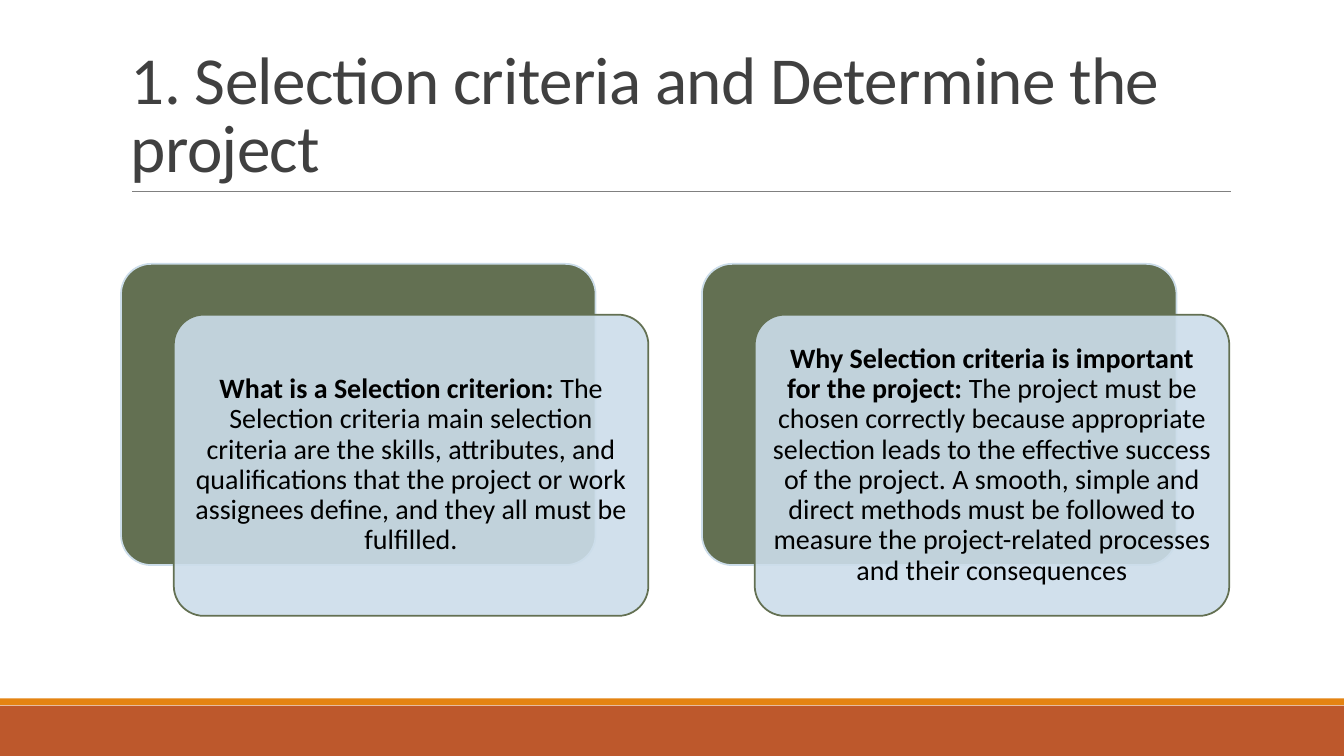
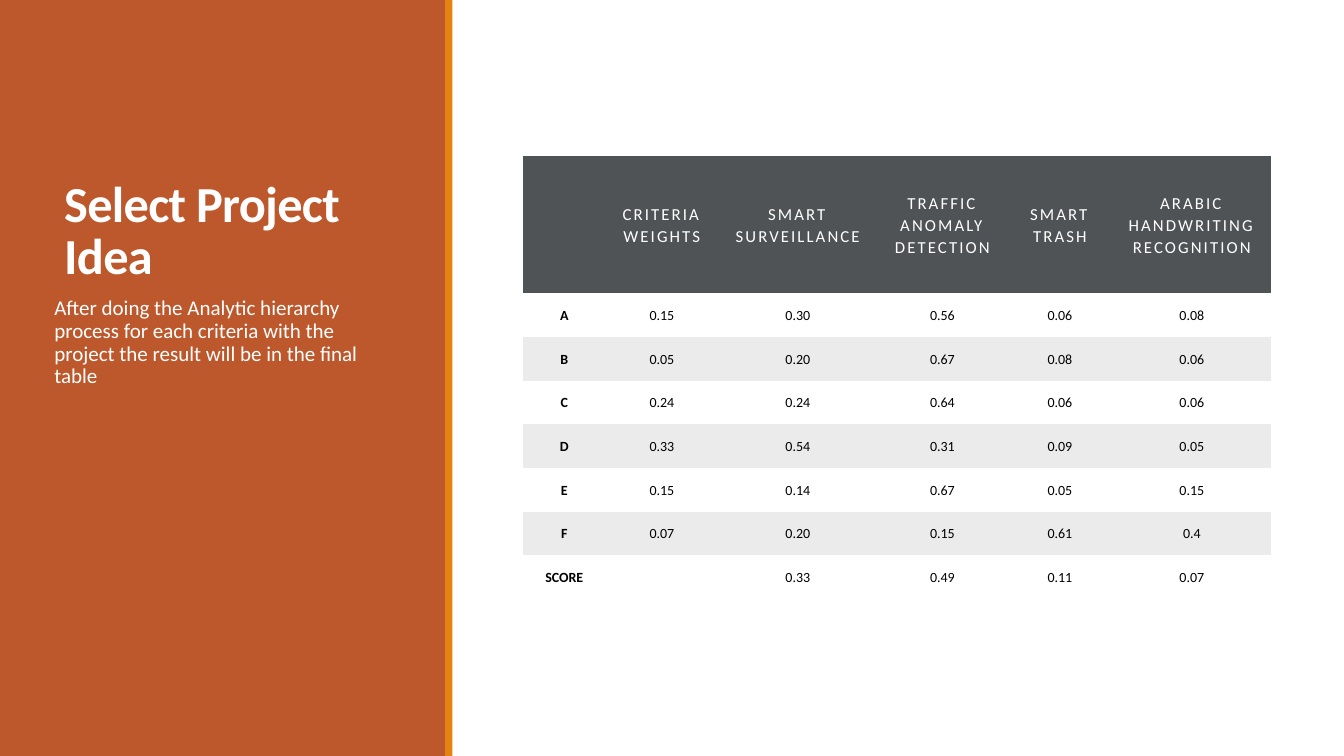
from pptx import Presentation
from pptx.dml.color import RGBColor
from pptx.enum.shapes import MSO_CONNECTOR, MSO_SHAPE
from pptx.enum.text import MSO_ANCHOR, PP_ALIGN
from pptx.oxml.ns import qn
from pptx.util import Cm, Pt
from lxml import etree

RECT, ROUND = MSO_SHAPE.RECTANGLE, MSO_SHAPE.ROUNDED_RECTANGLE
STRAIGHT = MSO_CONNECTOR.STRAIGHT
TOP, MIDDLE, BOTTOM = MSO_ANCHOR.TOP, MSO_ANCHOR.MIDDLE, MSO_ANCHOR.BOTTOM
LEFT, CENTER = PP_ALIGN.LEFT, PP_ALIGN.CENTER

FONT = "Calibri"
RUST, AMBER, OLIVE, SKY = "BD582C", "E48312", "637052", "CCDDEA"
DARK, GRAY, SLATE, PALE = "404040", "808080", "505356", "EBEBEB"
WHITE, BLACK = "FFFFFF", "000000"
NO_GRID = "{2D5ABB26-0587-4C30-8999-92F81FD0307C}"
WIDE, HIGH = 33.87, 19.05

HEAD = "1. Selection criteria and Determine the project"
CARDS = [
    ("What is a Selection criterion:",
     " The Selection criteria main selection criteria are the skills, attributes, "
     "and qualifications that the project or work assignees define, and they all "
     "must be fulfilled."),
    ("Why Selection criteria is important for the project:",
     " The project must be chosen correctly because appropriate selection leads to "
     "the effective success of the project. A smooth, simple and direct methods must "
     "be followed to measure the project-related processes and their consequences"),
]

IDEA = "Select Project Idea"
NOTE = ("After doing the Analytic hierarchy process for each criteria with the "
        "project the result will be in the final table")
ROWS = [
    ("", "CRITERIA WEIGHTS", "SMART SURVEILLANCE", "TRAFFIC ANOMALY DETECTION",
     "SMART TRASH", "ARABIC HANDWRITING RECOGNITION"),
    ("A", "0.15", "0.30", "0.56", "0.06", "0.08"),
    ("B", "0.05", "0.20", "0.67", "0.08", "0.06"),
    ("C", "0.24", "0.24", "0.64", "0.06", "0.06"),
    ("D", "0.33", "0.54", "0.31", "0.09", "0.05"),
    ("E", "0.15", "0.14", "0.67", "0.05", "0.15"),
    ("F", "0.07", "0.20", "0.15", "0.61", "0.4"),
    ("SCORE", "", "0.33", "0.49", "0.11", "0.07"),
]
COLS = [2.08, 2.84, 4.01, 3.28, 2.64, 4.01]
TALL, SHORT = 3.45, 1.1


def rgb(code):
    return RGBColor.from_string(code)


def write(frame, *runs, size, color, align=LEFT, space=0.9, track=0):
    para = frame.paragraphs[0]
    para.alignment, para.line_spacing = align, space
    for text, bold in runs:
        run = para.add_run()
        run.text = text
        font = run.font
        font.name, font.size, font.bold = FONT, Pt(size), bold
        font.color.rgb = rgb(color)
        if track:
            run._r.get_or_add_rPr().set("spc", str(int(track * 100)))


def pad(item, side, top):
    item.margin_left = item.margin_right = Cm(side)
    item.margin_top = item.margin_bottom = Cm(top)


def box(slide, area, fill, kind=RECT, line=None, alpha=None):
    shape = slide.shapes.add_shape(kind, *map(Cm, area))
    shape.shadow.inherit = False
    shape.fill.solid()
    shape.fill.fore_color.rgb = rgb(fill)
    if alpha:
        tone = shape.element.spPr.find(qn("a:solidFill"))[0]
        etree.SubElement(tone, qn("a:alpha")).set("val", str(alpha * 1000))
    if line:
        shape.line.color.rgb = rgb(line)
        shape.line.width = Pt(1.25)
    else:
        shape.line.fill.background()
    if kind == ROUND:
        shape.adjustments[0] = 0.1
    return shape


def label(slide, area, anchor=TOP):
    frame = slide.shapes.add_textbox(*map(Cm, area)).text_frame
    frame.word_wrap, frame.vertical_anchor = True, anchor
    return frame


def title(slide, text, area, size, color, bold=False):
    write(label(slide, area, BOTTOM), (text, bold),
          size=size, color=color, space=0.85, track=-0.5)


def bands(slide, main, trim):
    box(slide, main, RUST)
    box(slide, trim, AMBER)


def rule(slide, left, right, top):
    line = slide.shapes.add_connector(STRAIGHT, Cm(left), Cm(top), Cm(right), Cm(top))
    line.line.color.rgb = rgb(GRAY)
    line.line.width = Pt(0.5)
    etree.SubElement(line.element.spPr, qn("a:effectLst"))


def card(slide, left, head, body):
    top, wide, high = 6.65, 11.96, 7.59
    box(slide, (left, top, wide, high), OLIVE, ROUND, SKY)
    front = box(slide, (left + 1.33, top + 1.28, wide, high), SKY, ROUND, OLIVE, 90)
    frame = front.text_frame
    frame.word_wrap, frame.vertical_anchor = True, MIDDLE
    pad(frame, 0.2, 0.2)
    write(frame, (head, True), (body, False), size=20, color=BLACK, align=CENTER)


def grid(slide, left, top):
    high = TALL + SHORT * (len(ROWS) - 1)
    holder = slide.shapes.add_table(
        len(ROWS), len(COLS), Cm(left), Cm(top), Cm(sum(COLS)), Cm(high))
    table = holder.table
    table.first_row = table.horz_banding = False
    next(holder.element.iter(qn("a:tableStyleId"))).text = NO_GRID
    for col, wide in zip(table.columns, COLS):
        col.width = Cm(wide)
    for r, row in enumerate(ROWS):
        table.rows[r].height = Cm(SHORT if r else TALL)
        for c, text in enumerate(row):
            cell = table.cell(r, c)
            if r % 2 and r:
                cell.fill.background()
            else:
                cell.fill.solid()
                cell.fill.fore_color.rgb = rgb(PALE if r else SLATE)
            if not text:
                continue
            cell.vertical_anchor = MIDDLE
            pad(cell, 0.3, 0.3)
            look = dict(size=10, color=BLACK) if r else dict(
                size=12, color=WHITE, track=1.5)
            write(cell.text_frame, (text, r > 0 and c == 0),
                  align=CENTER, space=1.07, **look)


def main():
    deck = Presentation()
    deck.slide_width, deck.slide_height = Cm(WIDE), Cm(HIGH)
    blank = deck.slide_layouts[6]

    slide = deck.slides.add_slide(blank)
    bands(slide, (0, 17.78, WIDE, 1.27), (0, 17.6, WIDE, 0.17))
    rule(slide, 3.33, 31.01, 4.83)
    title(slide, HEAD, (3.05, 0.79, 27.94, 4.04), 48, DARK)
    for i, (head, body) in enumerate(CARDS):
        card(slide, 3.05 + 14.64 * i, head, body)

    slide = deck.slides.add_slide(blank)
    bands(slide, (0, 0, 11.25, HIGH), (11.22, 0, 0.18, HIGH))
    title(slide, IDEA, (1.37, 1.45, 8.56, 5.84), 36, WHITE, True)
    frame = label(slide, (1.37, 7.37, 8.56, 9.27))
    pad(frame, 0, 0.13)
    write(frame, (NOTE, False), size=15, color=WHITE)
    grid(slide, 13.18, 3.94)

    deck.save("out.pptx")


if __name__ == "__main__":
    main()
